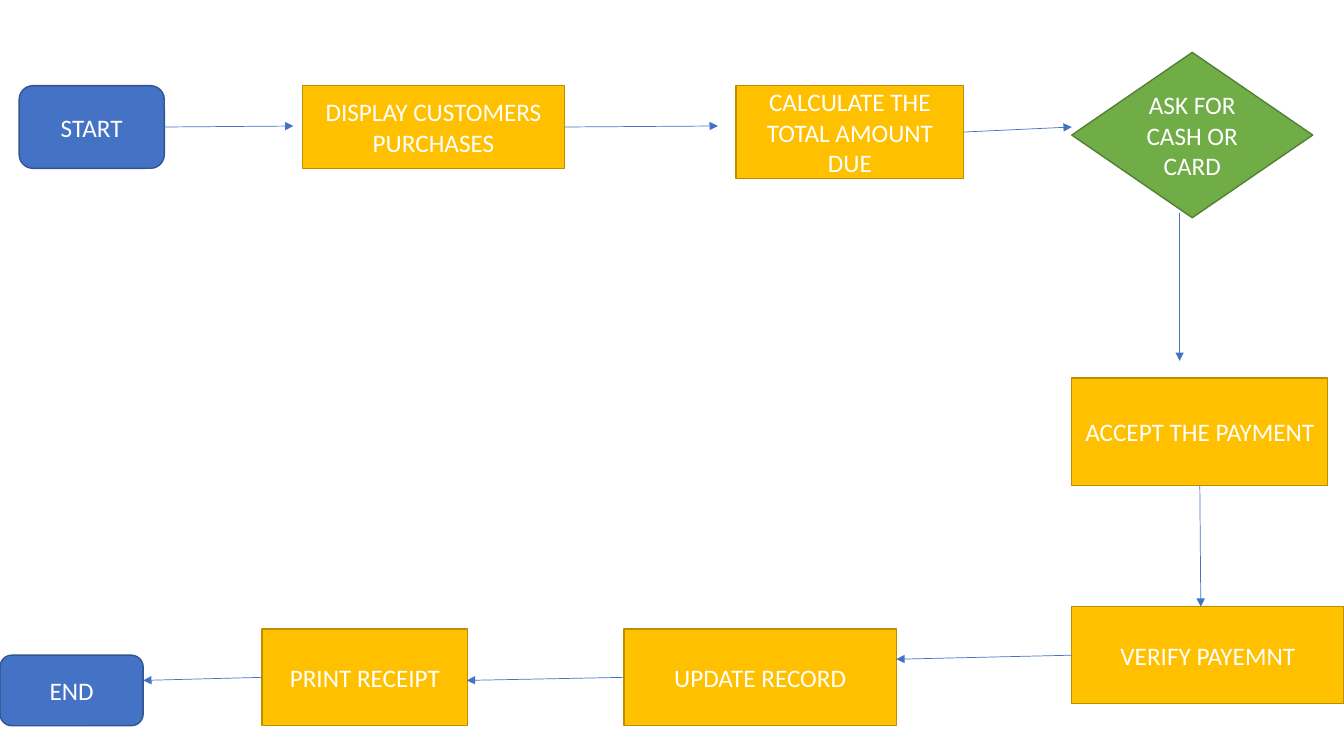
from lxml import etree
from pptx import Presentation
from pptx.dml.color import RGBColor
from pptx.enum import shapes, text
from pptx.oxml import ns
from pptx.util import Inches, Pt

WHITE = RGBColor(0xFF, 0xFF, 0xFF)
BLUE = RGBColor(0x44, 0x72, 0xC4)
DARK_BLUE = RGBColor(0x32, 0x54, 0x91)
GOLD = RGBColor(0xFF, 0xC0, 0x00)
DARK_GOLD = RGBColor(0xBD, 0x8E, 0x00)
GREEN = RGBColor(0x70, 0xAD, 0x47)
DARK_GREEN = RGBColor(0x53, 0x80, 0x35)

SHAPE = shapes.MSO_SHAPE
STYLES = {
    "terminal": (SHAPE.ROUNDED_RECTANGLE, BLUE, DARK_BLUE),
    "process": (SHAPE.RECTANGLE, GOLD, DARK_GOLD),
    "decision": (SHAPE.FLOWCHART_DECISION, GREEN, DARK_GREEN),
}
STEPS = {
    "start": ("terminal", "START", (0.19, 0.85, 1.44, 0.82)),
    "display": ("process", "DISPLAY CUSTOMERS\nPURCHASES", (3, 0.85, 2.6, 0.82)),
    "calculate": ("process", "CALCULATE THE TOTAL AMOUNT DUE", (7.3, 0.85, 2.26, 0.92)),
    "ask": ("decision", "ASK FOR CASH OR CARD", (10.63, 0.52, 2.39, 1.64)),
    "accept": ("process", "ACCEPT THE PAYMENT", (10.63, 3.75, 2.54, 1.07)),
    "verify": ("process", "VERIFY PAYEMNT", (10.63, 6.02, 2.7, 0.96)),
    "update": ("process", "UPDATE RECORD", (6.19, 6.24, 2.7, 0.96)),
    "print": ("process", "PRINT RECEIPT", (2.6, 6.24, 2.04, 0.96)),
    "end": ("terminal", "END", (0, 6.5, 1.42, 0.7)),
}
LEFT, BOTTOM, RIGHT = 1, 2, 3
JOINED_ARROWS = [
    ("start", RIGHT, (2.91, 1.25)),
    ("display", RIGHT, (7.12, 1.25)),
    ("calculate", RIGHT, (10.63, 1.26)),
    ("accept", BOTTOM, (11.91, 6.02)),
    ("verify", LEFT, (8.89, 6.54)),
    ("update", LEFT, (4.63, 6.75)),
    ("print", LEFT, (1.42, 6.75)),
]
FREE_ARROW = ((11.7, 2.11), (11.7, 3.58))


def write(sp, content, size=18, color=WHITE, font="Calibri"):
    tf = sp.text_frame
    tf.word_wrap = True
    tf.vertical_anchor = text.MSO_ANCHOR.MIDDLE
    tf.text = content
    for p in tf.paragraphs:
        p.alignment = text.PP_ALIGN.CENTER
        for r in p.runs:
            r.font.size = Pt(size)
            r.font.name = font
            r.font.color.rgb = color


def add_step(s, kind, content, box):
    preset, fill, outline = STYLES[kind]
    sp = s.shapes.add_shape(preset, *map(Inches, box))
    sp.shadow.inherit = False
    sp.fill.solid()
    sp.fill.fore_color.rgb = fill
    sp.line.color.rgb = outline
    sp.line.width = Pt(1)
    write(sp, content)
    return sp


def add_arrow(s, start, end):
    points = map(Inches, (*start, *end))
    c = s.shapes.add_connector(shapes.MSO_CONNECTOR.STRAIGHT, *points)
    c.line.color.rgb = BLUE
    c.line.width = Pt(0.5)
    etree.SubElement(c.line._get_or_add_ln(), ns.qn("a:tailEnd"), type="triangle")
    etree.SubElement(c._element.spPr, ns.qn("a:effectLst"))
    return c


def main():
    prs = Presentation()
    prs.slide_width, prs.slide_height = Inches(13.33), Inches(7.5)
    s = prs.slides.add_slide(prs.slide_layouts[6])
    steps = {name: add_step(s, *step) for name, step in STEPS.items()}
    for name, side, end in JOINED_ARROWS:
        add_arrow(s, end, end).begin_connect(steps[name], side)
    add_arrow(s, *FREE_ARROW)
    prs.save("out.pptx")


if __name__ == "__main__":
    main()
